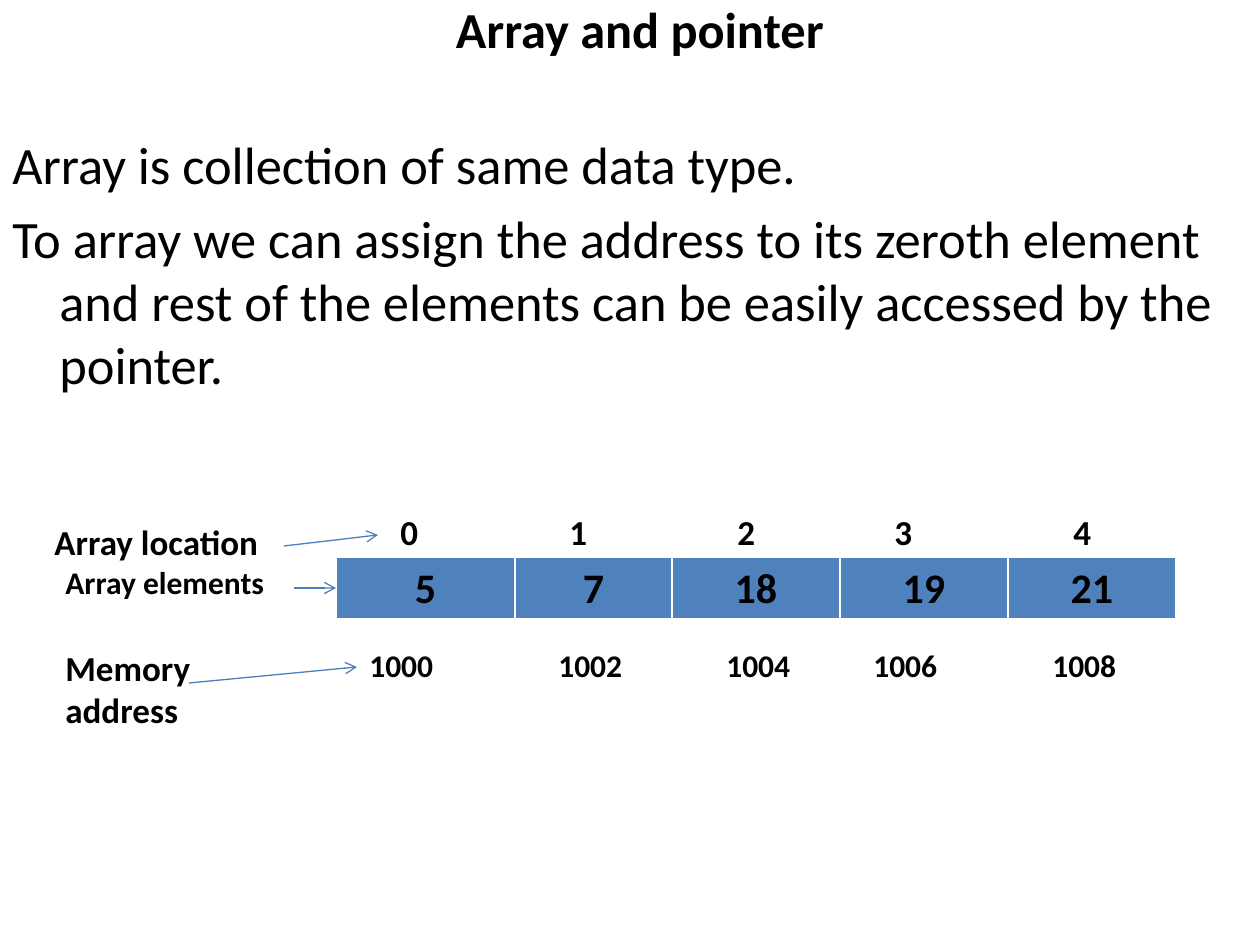
"""Build the slide on arrays and pointers, with a table of elements and their addresses."""
from lxml.etree import SubElement
from pptx import Presentation
from pptx.dml.color import RGBColor
from pptx.enum.shapes import MSO_CONNECTOR
from pptx.enum.text import MSO_ANCHOR, PP_ALIGN
from pptx.oxml.ns import qn
from pptx.util import Pt

SCALE = 914400 // 126
COLORS = {name: RGBColor.from_string(value) for name, value in {
    "text": "000000", "cell": "4F81BD", "border": "FFFFFF", "arrow": "4B7EBC"}.items()}


def format_text(para, size, bold=True):
    for span in para.runs:
        span.font.name = "Calibri"
        span.font.size = Pt(size)
        span.font.bold = bold
        span.font.color.rgb = COLORS["text"]


def add_text(left, top, width, height, text, size, bold=True):
    box = slide.shapes.add_textbox(*[v * SCALE for v in (left, top, width, height)])
    box.text_frame.word_wrap = True
    box.text_frame.text = text
    for para in box.text_frame.paragraphs:
        format_text(para, size, bold)
    return box.text_frame


deck = Presentation()
deck.slide_width = 1260 * SCALE
deck.slide_height = 945 * SCALE
slide = deck.slides.add_slide(deck.slide_layouts[6])

title = add_text(73, 0, 1134, 57, "Array and pointer", 28.8)
title.vertical_anchor = MSO_ANCHOR.MIDDLE
title.paragraphs[0].alignment = PP_ALIGN.CENTER

body = add_text(0, 126, 1260, 819,
                "Array is collection of same data type.\n"
                "To array we can assign the address to its zeroth element and rest "
                "of the elements can be easily accessed by the pointer.", 30, False)
for para in body.paragraphs:
    para.space_before = Pt(6)
    properties = para._p.get_or_add_pPr()
    properties.set("marL", str(47 * SCALE))
    properties.set("indent", str(-47 * SCALE))

elements = ["5", "7", "18", "19", "21"]
column_widths = [179, 157, 168, 168, 168]
table = slide.shapes.add_table(1, len(elements), 336 * SCALE, 557 * SCALE,
                               sum(column_widths) * SCALE, 62 * SCALE).table
for column, width, cell, element in zip(table.columns, column_widths, table.rows[0].cells, elements):
    column.width = width * SCALE
    cell.text_frame.text = element
    para = cell.text_frame.paragraphs[0]
    para.alignment = PP_ALIGN.CENTER
    format_text(para, 24)
    properties = cell._tc.get_or_add_tcPr()
    for side, points in {"lnL": 1, "lnR": 1, "lnT": 1, "lnB": 3}.items():
        border = SubElement(properties, qn(f"a:{side}"), w=str(Pt(points)))
        fill = SubElement(border, qn("a:solidFill"))
        SubElement(fill, qn("a:srgbClr"), val=str(COLORS["border"]))
    cell.fill.solid()
    cell.fill.fore_color.rgb = COLORS["cell"]

for index, (location_left, address_left) in enumerate(
        [(388, 357), (557, 546), (725, 714), (882, 861), (1061, 1040)]):
    add_text(location_left, 504, 53, 55, str(index), 20)
    add_text(address_left, 640, 126, 53, str(1000 + 2 * index), 18)

for left, top, width, height, label, size in [
        (42, 514, 273, 55, "Array location", 20),
        (53, 557, 284, 50, "Array elements", 18),
        (53, 640, 262, 97, "Memory address", 20)]:
    add_text(left, top, width, height, label, size)

for ends in [(284, 546, 378, 535), (294, 588, 336, 588), (189, 683, 357, 667)]:
    arrow = slide.shapes.add_connector(MSO_CONNECTOR.STRAIGHT, *[v * SCALE for v in ends])
    arrow.line.color.rgb = COLORS["arrow"]
    arrow.line.width = Pt(0.75)
    SubElement(arrow.line._get_or_add_ln(), qn("a:tailEnd"), type="arrow")
    SubElement(arrow._element.spPr, qn("a:effectLst"))

deck.save("out.pptx")
